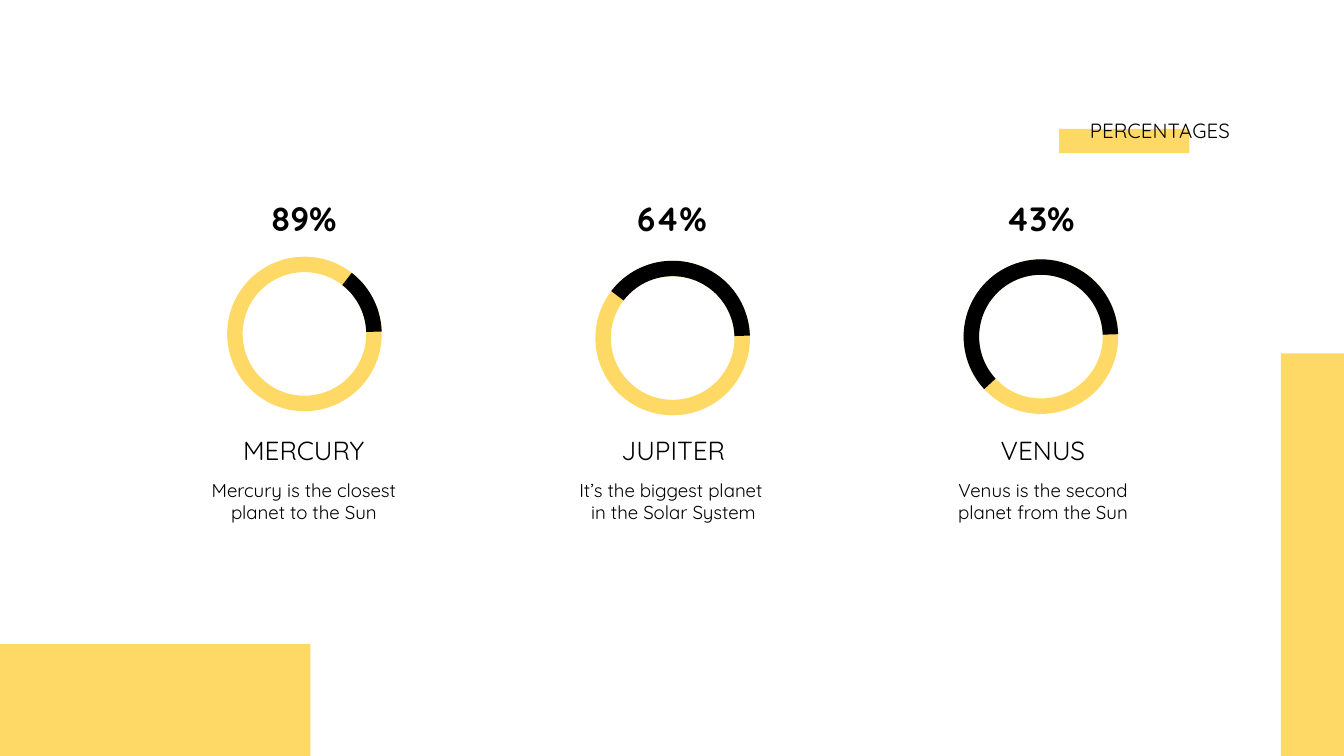
from pptx import Presentation
from pptx.dml.color import RGBColor
from pptx.enum import shapes, text
from pptx.util import Inches, Pt

YELLOW = RGBColor(0xFF, 0xD9, 0x66)
BLACK = RGBColor(0, 0, 0)
FONT = "Quicksand"

SLIDE_WIDTH = 10
SLIDE_HEIGHT = SLIDE_WIDTH * 9 / 16
COLUMN_LEFT = 1.42
COLUMN_WIDTH = 1.68
COLUMN_PITCH = 2.75
RING_LEFT = 1.69
RING_PITCH = 2.74
RING_SIZE = 1.15
ARC_END = 358.2

# percentage, planet, description, top of ring, start of the black arc in degrees
PLANETS = [
    ("89%", "MERCURY", "Mercury is the closest planet to the Sun", 1.91, 307.8),
    ("64%", "JUPITER", "It’s the biggest planet \nin the Solar System", 1.94, 217.4),
    ("43%", "VENUS", "Venus is the second planet from the Sun", 1.93, 137.2),
]


class SlideBuilder:
    def __init__(self, slide):
        self.slide = slide

    def shape(self, kind, left, top, width, height, color):
        shape = self.slide.shapes.add_shape(
            kind, Inches(left), Inches(top), Inches(width), Inches(height))
        shape.shadow.inherit = False
        shape.fill.solid()
        shape.fill.fore_color.rgb = color
        shape.line.fill.background()
        return shape

    def block(self, left, top, width, height):
        self.shape(shapes.MSO_SHAPE.RECTANGLE, left, top, width, height, YELLOW)

    def ring(self, left, top, arc_start):
        """Draw a yellow ring with a black arc from arc_start, clockwise."""
        place = (left, top, RING_SIZE, RING_SIZE)
        ring = self.shape(shapes.MSO_SHAPE.DONUT, *place, YELLOW)
        ring.adjustments[0] = 0.1
        arc = self.shape(shapes.MSO_SHAPE.BLOCK_ARC, *place, BLACK)
        # Angles are stored in 60000ths of a degree, adjustments in 100000ths.
        arc.adjustments[0] = arc_start * 0.6
        arc.adjustments[1] = ARC_END * 0.6
        arc.adjustments[2] = 0.1

    def label(self, words, left, top, width, height, size, bold=False,
              align=text.PP_ALIGN.CENTER, anchor=text.MSO_ANCHOR.TOP):
        box = self.slide.shapes.add_textbox(
            Inches(left), Inches(top), Inches(width), Inches(height))
        frame = box.text_frame
        frame.word_wrap = True
        frame.vertical_anchor = anchor
        frame.margin_left = frame.margin_right = Inches(0.1)
        frame.margin_top = frame.margin_bottom = Inches(0.1)
        frame.text = words
        for paragraph in frame.paragraphs:
            paragraph.alignment = align
            for run in paragraph.runs:
                run.font.name = FONT
                run.font.size = Pt(size)
                run.font.bold = bold
                run.font.color.rgb = BLACK


def main():
    presentation = Presentation()
    presentation.slide_width = Inches(SLIDE_WIDTH)
    presentation.slide_height = Inches(SLIDE_HEIGHT)
    builder = SlideBuilder(
        presentation.slides.add_slide(presentation.slide_layouts[6]))

    builder.block(7.88, 0.96, 0.97, 0.18)
    builder.block(9.53, 2.63, 0.47, SLIDE_HEIGHT - 2.63)
    builder.block(0, 4.79, 2.31, SLIDE_HEIGHT - 4.79)
    builder.label("PERCENTAGES", 0.78, 0.77, 8.47, 0.38, 11,
                  align=text.PP_ALIGN.RIGHT, anchor=text.MSO_ANCHOR.BOTTOM)

    for column, (percent, planet, description, ring_top, arc_start) in enumerate(PLANETS):
        left = COLUMN_LEFT + column * COLUMN_PITCH
        percent_left = COLUMN_LEFT + column * RING_PITCH
        builder.label(percent, percent_left, 1.48, COLUMN_WIDTH, 0.39, 18,
                      bold=True, anchor=text.MSO_ANCHOR.BOTTOM)
        builder.ring(RING_LEFT + column * RING_PITCH, ring_top, arc_start)
        builder.label(planet, left, 3.13, COLUMN_WIDTH, 0.47, 14)
        builder.label(description, left, 3.46, COLUMN_WIDTH, 0.59, 10)

    presentation.save("out.pptx")


if __name__ == "__main__":
    main()
